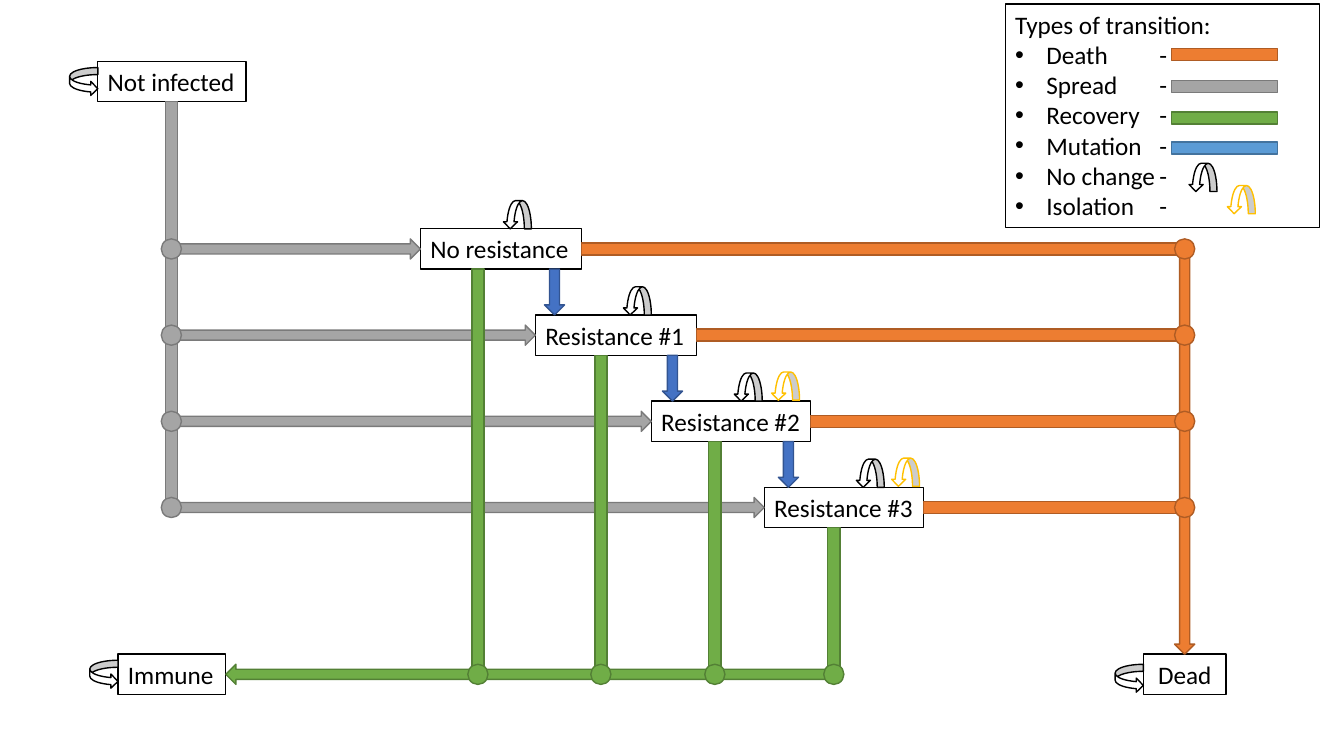
from dataclasses import dataclass

from lxml.etree import SubElement
from pptx import Presentation
from pptx.dml.color import RGBColor
from pptx.enum.shapes import MSO_SHAPE
from pptx.enum.text import MSO_ANCHOR, PP_ALIGN
from pptx.oxml.ns import qn
from pptx.shapes.autoshape import Shape
from pptx.util import Inches, Pt

BLACK, WHITE, GOLD = "000000", "FFFFFF", "FFC000"
BOX_HEIGHT = 0.4
BAR = 0.12
NODE = 0.2
LOOP = 0.28
SPREAD_X, DEATH_X, RECOVERY_Y = 1.7, 11.75, 6.69


@dataclass(frozen=True)
class Paint:
    fill: str
    line: str


@dataclass(frozen=True)
class State:
    name: str
    left: float
    top: float
    width: float
    align: PP_ALIGN = PP_ALIGN.LEFT

    @property
    def right(self) -> float:
        return self.left + self.width

    @property
    def bottom(self) -> float:
        return self.top + BOX_HEIGHT

    @property
    def middle(self) -> float:
        return self.top + BOX_HEIGHT / 2


@dataclass(frozen=True)
class Strain:
    state: State
    recovery_x: float
    loop_left: float
    mutation_x: float | None = None
    isolation_left: float | None = None


OUTLINE = Paint(WHITE, BLACK)
ISOLATION = Paint(WHITE, GOLD)
DEATH = Paint("ED7D31", "AF5C24")
SPREAD = Paint("A5A5A5", "7A7A7A")
RECOVERY = Paint("70AD47", "538035")
MUTATION = Paint("4472C4", "325491")
MUTATION_KEY = Paint("5B9BD5", "43739E")

NOT_INFECTED = State("Not infected", 0.97, 0.61, 1.47)
IMMUNE = State("Immune", 1.17, 6.49, 1.07)
DEAD = State("Dead", 11.34, 6.49, 0.82, PP_ALIGN.CENTER)
FIRST_ROW, ROW_PITCH = 2.27, 0.855
STRAINS = [
    Strain(State("No resistance", 4.17, FIRST_ROW, 1.6), 4.74, 4.99, 5.5),
    Strain(State("Resistance #1", 5.31, FIRST_ROW + ROW_PITCH, 1.6), 5.96, 6.18, 6.67),
    Strain(State("Resistance #2", 6.46, FIRST_ROW + 2 * ROW_PITCH, 1.58), 7.09, 7.28, 7.82, 7.65),
    Strain(State("Resistance #3", 7.58, FIRST_ROW + 3 * ROW_PITCH, 1.58), 8.27, 8.49, None, 8.84),
]
LEGEND_LABELS = ["Death", "Spread", "Recovery", "Mutation", "No change", "Isolation"]
LEGEND_BARS = [(0.48, DEATH), (0.8, SPREAD), (1.11, RECOVERY), (1.41, MUTATION_KEY)]

deck = Presentation()
deck.slide_width, deck.slide_height = Inches(13.33), Inches(7.5)
slide = deck.slides.add_slide(deck.slide_layouts[6])


def color(value: str) -> RGBColor:
    return RGBColor.from_string(value)


def draw(kind: MSO_SHAPE, left: float, top: float, width: float, height: float, paint: Paint) -> Shape:
    shape = slide.shapes.add_shape(kind, Inches(left), Inches(top), Inches(width), Inches(height))
    shape.shadow.inherit = False
    shape.fill.solid()
    shape.fill.fore_color.rgb = color(paint.fill)
    shape.line.color.rgb = color(paint.line)
    shape.line.width = Pt(1)
    return shape


def write(shape: Shape, text: str, align: PP_ALIGN, wrap: bool) -> None:
    frame = shape.text_frame
    frame.text = text
    frame.word_wrap = wrap
    frame.vertical_anchor = MSO_ANCHOR.TOP
    for paragraph in frame.paragraphs:
        paragraph.alignment = align
        for run in paragraph.runs:
            run.font.name = "Calibri"
            run.font.size = Pt(18)
            run.font.color.rgb = color(BLACK)


def draw_state(state: State) -> None:
    box = draw(MSO_SHAPE.RECTANGLE, state.left, state.top, state.width, BOX_HEIGHT, OUTLINE)
    write(box, state.name, state.align, False)


def draw_node(x: float, y: float, paint: Paint) -> None:
    draw(MSO_SHAPE.OVAL, x - NODE / 2, y - NODE / 2, NODE, NODE, paint)


def draw_column(kind: MSO_SHAPE, x: float, top: float, bottom: float, width: float, paint: Paint) -> None:
    draw(kind, x - width / 2, top, width, bottom - top, paint)


def draw_row(kind: MSO_SHAPE, left: float, right: float, y: float, height: float, paint: Paint) -> None:
    draw(kind, left, y - height / 2, right - left, height, paint)


def draw_loop(left: float, top: float, paint: Paint = OUTLINE, rotation: int = 90) -> None:
    loop = draw(MSO_SHAPE.CURVED_RIGHT_ARROW, left, top, LOOP, LOOP, paint)
    loop.rotation = rotation


def draw_legend() -> None:
    panel = draw(MSO_SHAPE.RECTANGLE, 9.97, 0.04, 3.12, 2.22, OUTLINE)
    entries = [f"{label}\t-" for label in LEGEND_LABELS]
    write(panel, "\n".join(["Types of transition:", *entries]), PP_ALIGN.LEFT, True)
    for paragraph in panel.text_frame.paragraphs[1:]:
        properties = paragraph._p.get_or_add_pPr()
        properties.set("marL", str(Inches(0.31)))
        properties.set("indent", str(-Inches(0.31)))
        SubElement(properties, qn("a:buFont"), typeface="Arial")
        SubElement(properties, qn("a:buChar"), char="•")
        tabs = SubElement(properties, qn("a:tabLst"))
        SubElement(tabs, qn("a:tab"), pos=str(Inches(1.43)), algn="l")
    for top, paint in LEGEND_BARS:
        draw(MSO_SHAPE.RECTANGLE, 11.62, top, 1.05, BAR, paint)
    draw_loop(11.79, 1.62)
    draw_loop(12.17, 1.84, ISOLATION)


def main() -> None:
    states = [strain.state for strain in STRAINS]
    for state in [NOT_INFECTED, *states, DEAD, IMMUNE]:
        draw_state(state)

    for state, drop in [(NOT_INFECTED, 0.06), (IMMUNE, 0.06), (DEAD, 0.1)]:
        draw_loop(state.left - LOOP, state.top + drop, rotation=0)
    for strain in STRAINS:
        state = strain.state
        draw_loop(strain.loop_left, state.top - LOOP)
        if strain.isolation_left is not None:
            draw_loop(strain.isolation_left, state.top - LOOP - 0.01, ISOLATION)
        if strain.mutation_x is not None:
            draw_column(MSO_SHAPE.DOWN_ARROW, strain.mutation_x, state.bottom,
                        state.top + ROW_PITCH, NODE, MUTATION)

    draw_column(MSO_SHAPE.DOWN_ARROW, DEATH_X, states[0].middle, DEAD.top, NODE, DEATH)
    for state in states:
        draw_row(MSO_SHAPE.RECTANGLE, state.right, DEATH_X, state.middle, BAR, DEATH)
    for state in states:
        draw_node(DEATH_X, state.middle, DEATH)

    draw_column(MSO_SHAPE.RECTANGLE, SPREAD_X, NOT_INFECTED.bottom, states[-1].middle, BAR, SPREAD)
    for state in states:
        draw_row(MSO_SHAPE.RIGHT_ARROW, SPREAD_X, state.left, state.middle, NODE, SPREAD)
    for state in states:
        draw_node(SPREAD_X, state.middle, SPREAD)

    draw_row(MSO_SHAPE.LEFT_ARROW, IMMUNE.right, STRAINS[-1].recovery_x, RECOVERY_Y, NODE, RECOVERY)
    for strain in STRAINS:
        draw_column(MSO_SHAPE.RECTANGLE, strain.recovery_x, strain.state.bottom,
                    RECOVERY_Y, BAR, RECOVERY)
    for strain in STRAINS:
        draw_node(strain.recovery_x, RECOVERY_Y, RECOVERY)

    draw_legend()
    deck.save("out.pptx")


if __name__ == "__main__":
    main()
